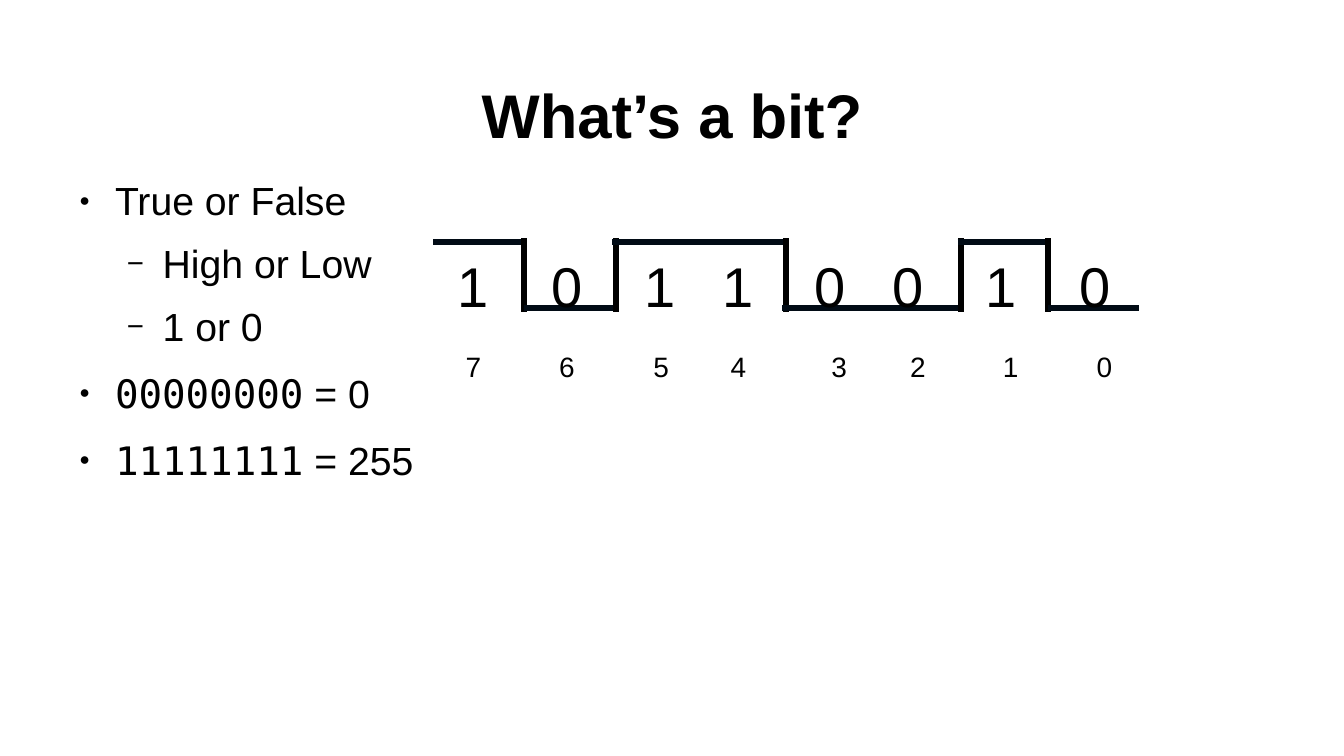
from pptx import Presentation
from pptx.dml.color import RGBColor as Rgb
from pptx.enum.shapes import MSO_CONNECTOR as Conn
from pptx.enum.text import MSO_ANCHOR as Anchor, PP_ALIGN as Align
from pptx.oxml.ns import qn
from pptx.util import Cm, Pt
from lxml import etree

COLORS = {"text": "000000", "level": "010B15", "edge": "000000"}
SANS, MONO = "Arial", "DejaVu Sans Mono"

deck = Presentation()
deck.slide_width, deck.slide_height = Cm(33.87), Cm(19.05)
slide = deck.slides.add_slide(deck.slide_layouts[6])


def add_box(left, top, width, height, pad=(0, 0)):
    """Add a wrapping text box; pad is the side and the top margin in cm."""
    box = slide.shapes.add_textbox(Cm(left), Cm(top), Cm(width), Cm(height))
    frame = box.text_frame
    frame.word_wrap = True
    frame.margin_left = frame.margin_right = Cm(pad[0])
    frame.margin_top = frame.margin_bottom = Cm(pad[1])
    return frame


def style(font, size, name=SANS, bold=False):
    font.size, font.name, font.bold = Pt(size), name, bold
    font.color.rgb = Rgb.from_string(COLORS["text"])


# Title
frame = add_box(2.34, 1.02, 29.21, 3.68)
frame.vertical_anchor = Anchor.MIDDLE
frame.text = "What’s a bit?"
title = frame.paragraphs[0]
title.alignment = Align.CENTER
style(title.runs[0].font, 44, bold=True)

# Bullets: level, then the text in mono and in sans
points = [
    (0, "", "True or False"),
    (1, "", "High or Low"),
    (1, "", "1 or 0"),
    (0, "00000000", " = 0"),
    (0, "11111111", " = 255"),
]
marks = [("●", "45000", 14.2), ("−", "75000", 11.3)]
frame = add_box(1.7, 4.45, 31.06, 13.59)
for i, (level, code, words) in enumerate(points):
    para = frame.add_paragraph() if i else frame.paragraphs[0]
    mark, size, gap = marks[level]
    para.level = level
    if i:
        para.space_before = Pt(gap)
    props = para._p.get_or_add_pPr()
    props.set("marL", str(Cm(1.2 * (level + 1))))
    props.set("indent", str(Cm(-0.9)))
    color = etree.SubElement(props, qn("a:buClr"))
    etree.SubElement(color, qn("a:srgbClr"), val=COLORS["text"])
    etree.SubElement(props, qn("a:buSzPct"), val=size)
    etree.SubElement(props, qn("a:buFont"), typeface=SANS)
    etree.SubElement(props, qn("a:buChar"), char=mark)
    for part, name in ((code, MONO), (words, SANS)):
        if part:
            run = para.add_run()
            run.text = part
            style(run.font, 28, name)

# Signal: a level for each bit, an edge wherever the bit changes
bits = "10110010"
starts = [10.92, 13.21, 15.42, 17.53, 19.71, 22, 24.13, 26.42]
edges = [None, 13.21, 15.52, None, 19.81, None, 24.21, 26.42]
high, low, span, over = 6.1, 7.77, 2.29, 0.1
lines = []
for i, (bit, left, edge) in enumerate(zip(bits, starts, edges)):
    if i and bit != bits[i - 1]:
        lines.append((edge, high - over, edge, low + over, "edge"))
    y = high if bit == "1" else low
    lines.append((left, y, left + span, y, "level"))

wave = slide.shapes.add_group_shape()
for x1, y1, x2, y2, color in lines:
    line = wave.shapes.add_connector(
        Conn.STRAIGHT, Cm(x1), Cm(y1), Cm(x2), Cm(y2))
    line.line.width = Pt(4.31)
    line.line.color.rgb = Rgb.from_string(COLORS[color])
    etree.SubElement(line._element.spPr, qn("a:effectLst"))

# Bit values and their places, centred on tab stops
rows = [
    (bits, 40, 0, [0.74, 3.11, 5.46, 7.42, 9.75, 11.71, 14.07, 16.43]),
    ("76543210", 20, 22, [0.76, 3.12, 5.49, 7.44, 9.98, 11.96, 14.3, 16.66]),
]
frame = add_box(10.92, 6.1, 18.03, 3.4, pad=(0.25, 0.25))
for i, (digits, size, gap, stops) in enumerate(rows):
    para = frame.add_paragraph() if i else frame.paragraphs[0]
    para.text = "".join("\t" + digit for digit in digits)
    if gap:
        para.space_before = Pt(gap)
    tabs = etree.SubElement(para._p.get_or_add_pPr(), qn("a:tabLst"))
    for stop in stops:
        etree.SubElement(tabs, qn("a:tab"), pos=str(Cm(stop)), algn="ctr")
    for run in para.runs:
        style(run.font, size)

deck.save("out.pptx")
